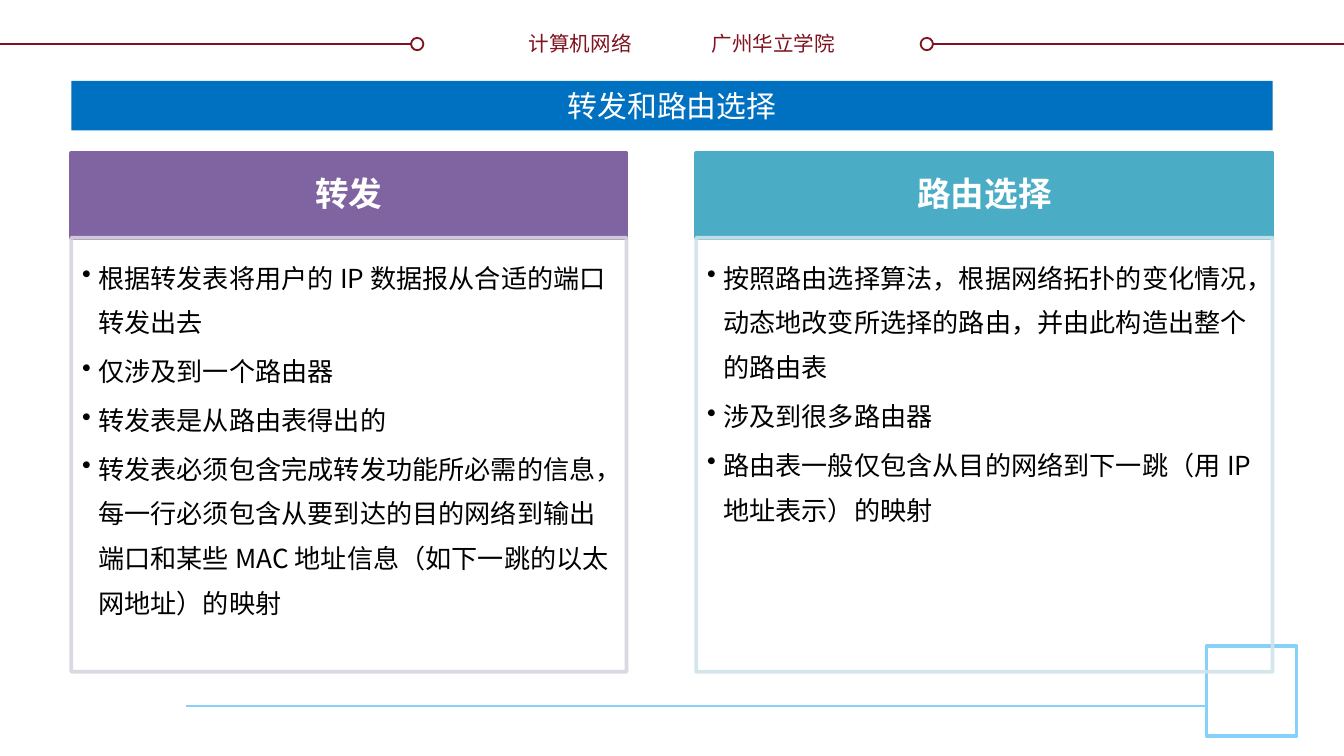
from pptx import Presentation
from pptx.dml.color import RGBColor
from pptx.enum.shapes import MSO_CONNECTOR as Connector, MSO_SHAPE as Shape
from pptx.enum.text import MSO_ANCHOR as Anchor, PP_ALIGN as Align
from pptx.oxml.ns import qn
from pptx.util import Pt
from lxml.etree import SubElement

WIDTH, HEIGHT = 720, 405
CJK = "Noto Sans CJK SC"
RED, SKY, WHITE, BLACK = "7F131F", "85D1F7", "FFFFFF", "000000"


def rgb(color):
    return RGBColor.from_string(color)


def write(frame, lines, size=11, color=BLACK, bold=False, font=CJK, align=Align.LEFT,
          anchor=Anchor.TOP, margins=(7.2, 3.6, 7.2, 3.6), wrap=True,
          spacing=None, after=0, indent=0):
    """Fill a text frame, one paragraph a line; an indent gives bullets."""
    frame.word_wrap = wrap
    frame.vertical_anchor = anchor
    (frame.margin_left, frame.margin_top,
     frame.margin_right, frame.margin_bottom) = map(Pt, margins)
    for index, line in enumerate(lines):
        paragraph = frame.add_paragraph() if index else frame.paragraphs[0]
        if indent:
            paragraph.level = 1
            properties = paragraph._p.get_or_add_pPr()
            properties.set("marL", str(Pt(indent)))
            properties.set("indent", str(-Pt(indent)))
            SubElement(properties, qn("a:buChar")).set("char", "•")
        paragraph.alignment = align
        paragraph.line_spacing = spacing
        paragraph.space_before = Pt(0)
        paragraph.space_after = Pt(after)
        run = paragraph.add_run()
        run.text = line
        run.font.size, run.font.bold, run.font.name = Pt(size), bold, font
        run.font.color.rgb = rgb(color)
        SubElement(run._r.get_or_add_rPr(), qn("a:ea")).set("typeface", CJK)


class SlideBuilder:
    def __init__(self, slide):
        self.slide = slide

    def title(self, text, box, fill):
        shape = self.slide.shapes.title
        shape.left, shape.top, shape.width, shape.height = map(Pt, box)
        shape.fill.solid()
        shape.fill.fore_color.rgb = rgb(fill)
        write(shape.text_frame, [text], size=16, color=WHITE, font="Montserrat",
              align=Align.CENTER, anchor=Anchor.MIDDLE)

    def line(self, left, right, y, color, width):
        connector = self.slide.shapes.add_connector(
            Connector.STRAIGHT, Pt(left), Pt(y), Pt(right), Pt(y))
        connector.line.color.rgb = rgb(color)
        connector.line.width = Pt(width)
        SubElement(connector._element.spPr, qn("a:effectLst"))

    def shape(self, kind, box, line, width, fill=None, opacity=None):
        shape = self.slide.shapes.add_shape(kind, *map(Pt, box))
        shape.shadow.inherit = False
        if fill:
            shape.fill.solid()
            shape.fill.fore_color.rgb = rgb(fill)
        else:
            shape.fill.background()
        shape.line.color.rgb = rgb(line)
        shape.line.width = Pt(width)
        if opacity:
            color = shape.line._ln.find(".//" + qn("a:srgbClr"))
            SubElement(color, qn("a:alpha")).set("val", str(opacity * 1000))
        return shape

    def label(self, text, box, **style):
        shape = self.slide.shapes.add_textbox(*map(Pt, box))
        write(shape.text_frame, [text], **style)

    def panel(self, left, width, heading, points, fill, border):
        """A coloured heading on top of a framed bullet list."""
        top, middle, bottom = 82, 127.4, 360
        head = self.shape(Shape.RECTANGLE, (left, top, width, middle - top),
                          fill, 2, fill)
        write(head.text_frame, [heading], size=18, color=WHITE, bold=True,
              align=Align.CENTER, anchor=Anchor.MIDDLE,
              margins=(10, 5.8, 10, 5.8), spacing=0.9)
        body = self.shape(Shape.RECTANGLE, (left, middle, width, bottom - middle),
                          border, 2, opacity=90)
        write(body.text_frame, points, size=14, margins=(5.8, 5.8, 7.9, 8.6),
              spacing=Pt(24), after=2.1, indent=8.64)


def main():
    presentation = Presentation()
    presentation.slide_width, presentation.slide_height = Pt(WIDTH), Pt(HEIGHT)
    builder = SlideBuilder(presentation.slides.add_slide(presentation.slide_layouts[5]))

    builder.title("转发和路由选择", (38.2, 43.3, 643.6, 26.6), "0070C0")

    line_length, dot = 226.8, 6.6
    for left, dot_left in ((0, line_length - dot), (WIDTH - line_length,) * 2):
        builder.line(left, left + line_length, 23.6, RED, 1)
        builder.shape(Shape.OVAL, (dot_left, 23.6 - dot / 2, dot, dot), RED, 1, WHITE)
    builder.label("计算机网络", (275.8, 13, 69.8, 20.9), color=RED,
                  align=Align.RIGHT, wrap=False)
    builder.label("广州华立学院", (374.1, 13, 83.5, 20.9), color=RED)

    builder.line(99.8, 646.4, 378.2, SKY, 1.5)
    builder.shape(Shape.RECTANGLE, (646.4, 346.1, 48.2, 48.2), SKY, 2, WHITE)

    builder.panel(38.2, 297.4, "转发", [
        "根据转发表将用户的 IP 数据报从合适的端口转发出去",
        "仅涉及到一个路由器",
        "转发表是从路由表得出的",
        "转发表必须包含完成转发功能所必需的信息，每一行必须包含从要到达的目的网络"
        "到输出端口和某些 MAC 地址信息（如下一跳的以太网地址）的映射",
    ], "8064A2", "D8D3E0")
    builder.panel(373, 308.8, "路由选择", [
        "按照路由选择算法，根据网络拓扑的变化情况，动态地改变所选择的路由，"
        "并由此构造出整个的路由表",
        "涉及到很多路由器",
        "路由表一般仅包含从目的网络到下一跳（用 IP 地址表示）的映射",
    ], "4BACC6", "D0E3EA")

    presentation.save("out.pptx")


if __name__ == "__main__":
    main()
